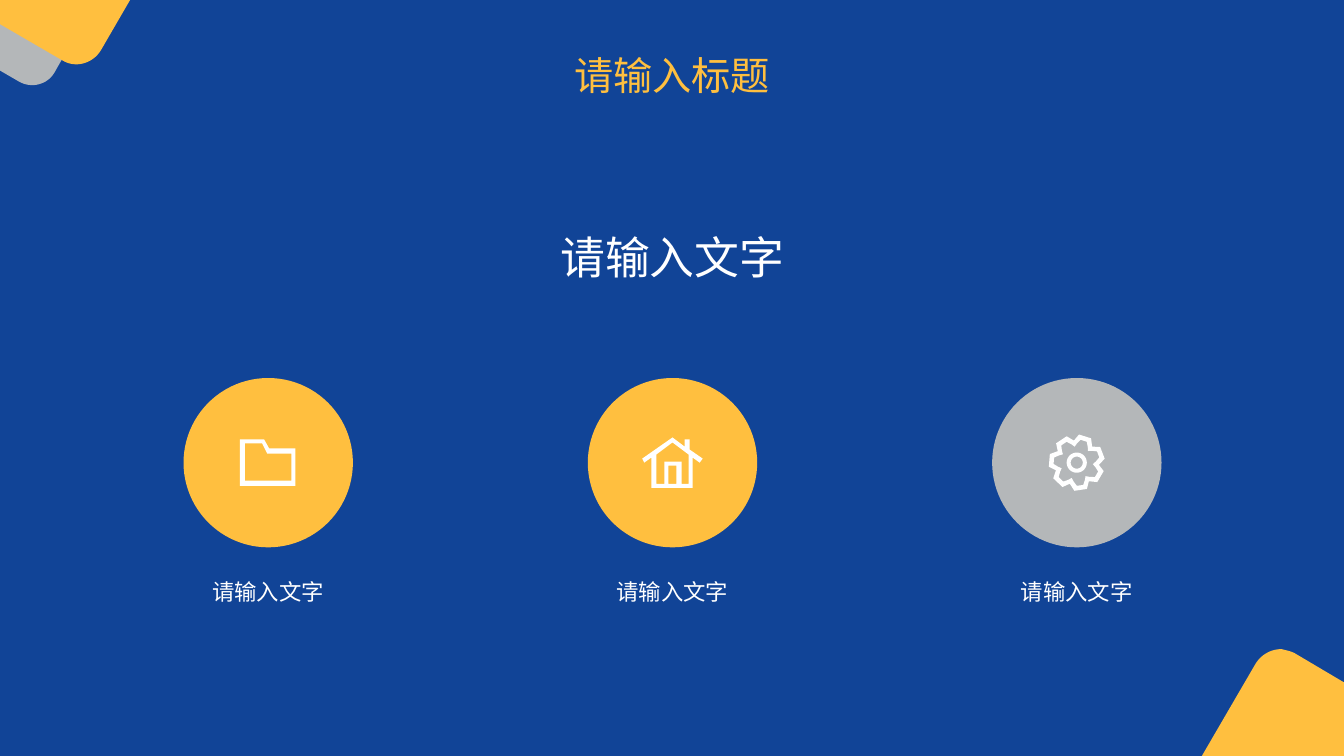
from math import cos, radians, sin

from lxml.etree import SubElement
from pptx import Presentation
from pptx.dml.color import RGBColor
from pptx.enum.shapes import MSO_SHAPE as SHAPE
from pptx.enum.text import MSO_AUTO_SIZE as AUTO, PP_ALIGN as ALIGN
from pptx.oxml.ns import qn
from pptx.util import Inches, Pt

BLUE = RGBColor(0x11, 0x44, 0x97)
YELLOW = RGBColor(0xFF, 0xBF, 0x3F)
GRAY = RGBColor(0xB4, 0xB7, 0xB9)
WHITE = RGBColor(0xFF, 0xFF, 0xFF)
FONT = "Noto Sans CJK SC"


def curve(p0, p1, p2, p3, steps=16):
    """Points along a cubic curve."""
    weights = [((1 - t) ** 3, 3 * t * (1 - t) ** 2, 3 * t * t * (1 - t), t ** 3)
               for t in (i / steps for i in range(steps + 1))]
    return [tuple(sum(w * p[axis] for w, p in zip(ws, (p0, p1, p2, p3)))
                  for axis in (0, 1)) for ws in weights]


def polar(center, radius, angle):
    return (center[0] + radius * cos(radians(angle)),
            center[1] + radius * sin(radians(angle)))


def ring(center, radius, steps=36):
    return [polar(center, radius, 360 * i / steps) for i in range(steps)]


def toothed(center, tooth, teeth=7):
    """Repeat one tooth, given as (angle, radius) pairs, around the center."""
    return [polar(center, radius, angle - 360 * i / teeth)
            for i in range(teeth) for angle, radius in tooth]


class SlideBuilder:
    def __init__(self, slide, font):
        self.slide, self.font = slide, font

    def background(self, color):
        fill = self.slide.background.fill
        fill.solid()
        fill.fore_color.rgb = color

    def paint(self, sp, color):
        sp.shadow.inherit = False
        sp.fill.solid()
        sp.fill.fore_color.rgb = color
        sp.line.fill.background()

    def outline(self, color, *contours):
        builder = None
        for contour in contours:
            points = [(Inches(x), Inches(y)) for x, y in contour]
            if builder is None:
                builder = self.slide.shapes.build_freeform(*points[0])
            else:
                builder.move_to(*points[0])
            builder.add_line_segments(points[1:], close=True)
        self.paint(builder.convert_to_shape(), color)

    def circle(self, x, y, size, color):
        sp = self.slide.shapes.add_shape(
            SHAPE.OVAL, Inches(x), Inches(y), Inches(size), Inches(size))
        self.paint(sp, color)

    def text(self, text, x, y, w, h, size, color, spacing=None):
        sp = self.slide.shapes.add_textbox(
            Inches(x), Inches(y), Inches(w), Inches(h))
        tf = sp.text_frame
        tf.word_wrap = True
        tf.auto_size = AUTO.SHAPE_TO_FIT_TEXT
        p = tf.paragraphs[0]
        p.text = text
        p.alignment = ALIGN.CENTER
        if spacing:
            p.line_spacing = spacing
        r = p.runs[0]
        r.font.size = Pt(size)
        r.font.name = self.font
        r.font.color.rgb = color
        # East Asian typeface
        SubElement(r.font._element, qn("a:ea")).set("typeface", self.font)


def folder_icon(s):
    s.outline(
        WHITE,
        [(2.67, 4.45), (2.62, 4.36), (2.38, 4.36), (2.38, 4.82), (2.93, 4.82),
         (2.93, 4.45)],
        [(2.89, 4.77), (2.43, 4.77), (2.43, 4.4), (2.6, 4.4), (2.65, 4.5),
         (2.89, 4.5)])


def house_icon(s):
    s.outline(
        WHITE,
        [(6.84, 4.46), (6.84, 4.36), (6.79, 4.36), (6.79, 4.43), (6.67, 4.34),
         (6.37, 4.55), (6.39, 4.59), (6.46, 4.54), (6.46, 4.84), (6.87, 4.84),
         (6.87, 4.54), (6.94, 4.59), (6.97, 4.55)],
        [(6.83, 4.8), (6.76, 4.8), (6.76, 4.58), (6.59, 4.58), (6.59, 4.8),
         (6.51, 4.8), (6.51, 4.51), (6.67, 4.39), (6.83, 4.51)],
        [(6.71, 4.8), (6.63, 4.8), (6.63, 4.62), (6.71, 4.62)])


def gear_icon(s):
    center = (10.68, 4.59)
    s.outline(
        WHITE,
        toothed(center, [(-8, 0.28), (-34, 0.28), (-46, 0.22)]),
        toothed(center, [(-13, 0.23), (-29, 0.23), (-38, 0.19), (-46, 0.16),
                         (-55, 0.19)]),
        ring(center, 0.1),
        ring(center, 0.06))


def main():
    prs = Presentation()
    prs.slide_width, prs.slide_height = Inches(13.33), Inches(7.5)
    s = SlideBuilder(prs.slides.add_slide(prs.slide_layouts[6]), FONT)
    s.background(BLUE)

    # Corner decorations
    s.outline(GRAY, [(0, 0), (0.95, 0),
                     *curve((0.54, 0.72), (0.47, 0.84), (0.31, 0.88), (0.19, 0.81)),
                     (0, 0.7)])
    s.outline(YELLOW, [(0, 0), (1.29, 0),
                       *curve((1, 0.5), (0.92, 0.63), (0.75, 0.68), (0.62, 0.6)),
                       (0, 0.24)])
    s.outline(YELLOW, [*curve((12.45, 6.59), (12.51, 6.49), (12.61, 6.44), (12.71, 6.44)),
                       *curve((12.71, 6.44), (12.75, 6.45), (12.8, 6.46), (12.84, 6.48)),
                       (13.33, 6.77), (13.33, 7.5), (11.92, 7.5)])

    # Headings
    s.text("请输入标题", 4.57, 0.32, 4.19, 0.66, 28, YELLOW, spacing=1.3)
    s.text("请输入文字", 3.67, 2.23, 6, 0.64, 32, WHITE)

    # Three circles with icon and caption
    items = [(YELLOW, folder_icon), (YELLOW, house_icon), (GRAY, gear_icon)]
    for i, (color, icon) in enumerate(items):
        middle = 2.66 + 4.01 * i
        s.circle(middle - 0.84, 3.75, 1.68, color)
        icon(s)
        s.text("请输入文字", middle - 1.41, 5.69, 2.82, 0.37, 16, WHITE)

    prs.save("out.pptx")


if __name__ == "__main__":
    main()
